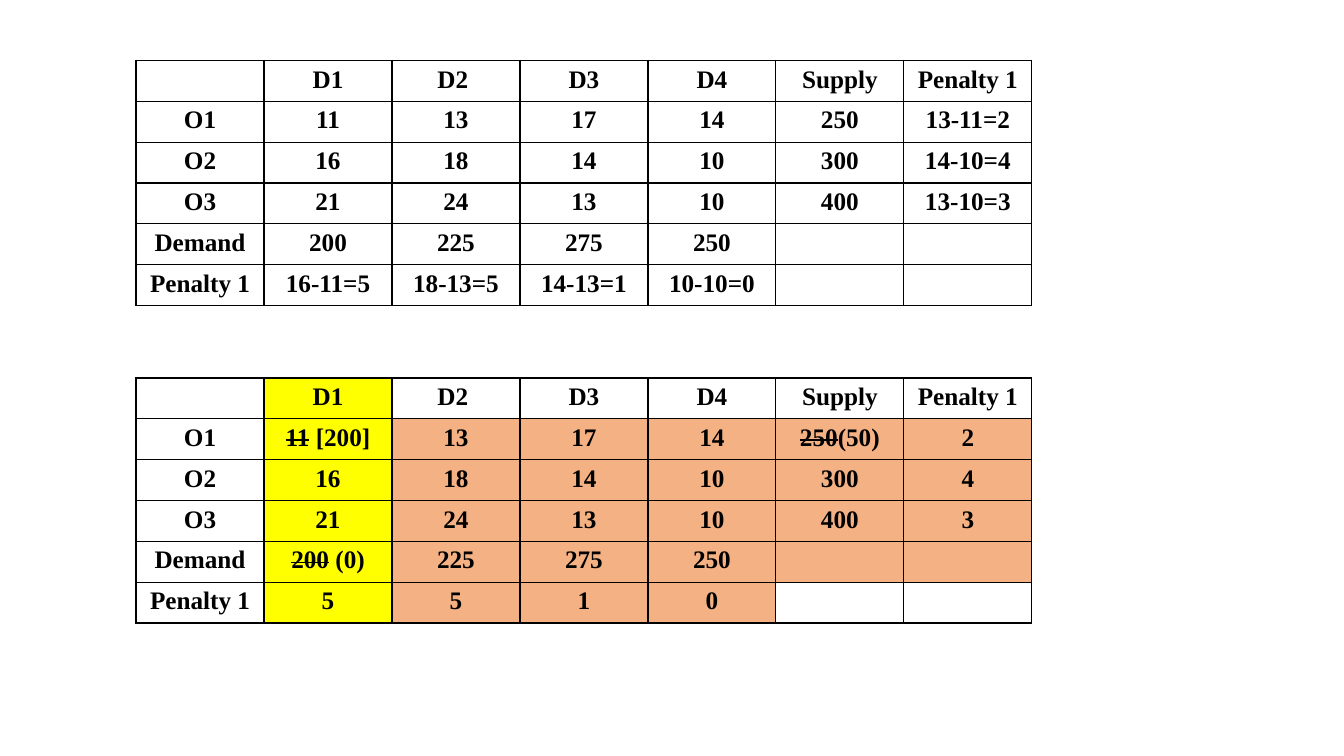
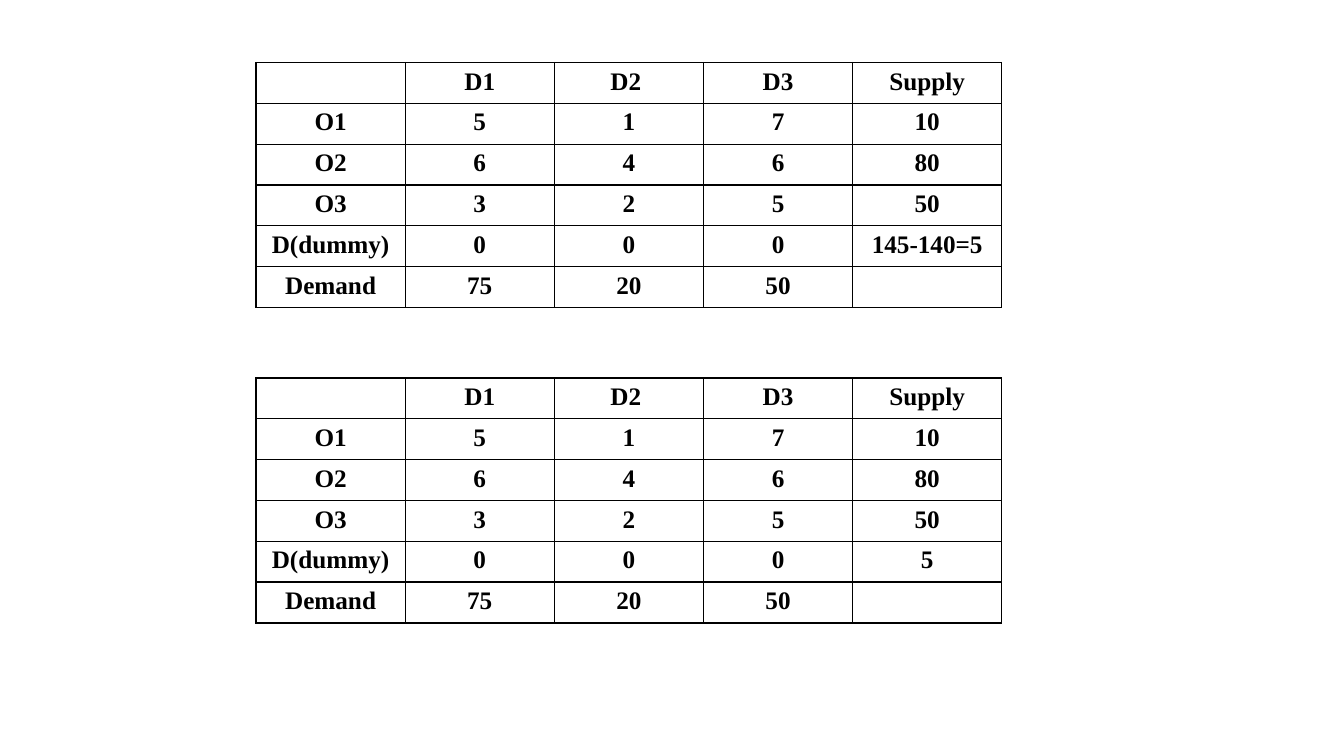
from lxml import etree
from pptx import Presentation
from pptx.dml.color import RGBColor
from pptx.enum.text import PP_ALIGN
from pptx.oxml.ns import qn
from pptx.util import Pt

PX = 4572
CENTER = PP_ALIGN.CENTER
FONT = "Times New Roman"
BLACK, YELLOW, ORANGE = "000000", "FFFF00", "F4B183"
BLANK = 6
ROW = 81
LOW = 750
STRIKE = "~"

COSTS = [
    "|D1|D2 |D3|D4|Supply|Penalty 1",
    "O1|11|13|17|14|250|13-11=2",
    "O2|16|18|14|10|300|14-10=4",
    "O3|21|24|13|10|400|13-10=3",
    "Demand|200|225|275|250||",
    "Penalty 1|16-11=5|18-13=5|14-13=1|10-10=0||",
]
FIRST = [
    "|D1|D2 |D3|D4|Supply|Penalty 1",
    "O1|~11~ [200]|13|17|14|~250~(50)|2",
    "O2|16|18|14|10|300|4",
    "O3|21|24|13|10|400|3",
    "Demand|~200~ (0)|225|275|250||",
    "Penalty 1|5|5|1|0||",
]


def color(code):
    return RGBColor.from_string(code)


def dummy(supply):
    return [
        "|D1|D2 |D3|Supply",
        "O1|5|1|7|10",
        "O2|6|4|6|80",
        "O3|3|2|5|50",
        f"D(dummy)|0|0|0|{supply}",
        "Demand|75|20|50|",
    ]


def plain(row, col):
    return None


def shade(row, col):
    if col == 1:
        return YELLOW
    if row == 0 or col == 0 or (row == 5 and col > 4):
        return None
    return ORANGE


def border(cell):
    props = cell._tc.get_or_add_tcPr()
    for side in ("a:lnL", "a:lnR", "a:lnT", "a:lnB"):
        line = etree.SubElement(props, qn(side), w=str(Pt(1)))
        fill = etree.SubElement(line, qn("a:solidFill"))
        etree.SubElement(fill, qn("a:srgbClr"), val=BLACK)


def write(cell, text):
    para = cell.text_frame.paragraphs[0]
    para.alignment = CENTER
    for index, part in enumerate(text.split(STRIKE)):
        if not part:
            continue
        run = para.add_run()
        run.text = part
        run.font.name = FONT
        run.font.size = Pt(18)
        run.font.bold = True
        run.font.color.rgb = color(BLACK)
        if index % 2:
            run._r.get_or_add_rPr().set("strike", "sngStrike")


def paint(cell, code):
    if code:
        cell.fill.solid()
        cell.fill.fore_color.rgb = color(code)
    else:
        cell.fill.background()


def grid(slide, left, top, width, lines, tint=plain):
    rows = [line.split("|") for line in lines]
    count = len(rows[0])
    frame = slide.shapes.add_table(
        len(rows), count, left * PX, top * PX,
        width * count * PX, ROW * len(rows) * PX)
    table = frame.table
    table.first_row = False
    table.horz_banding = False
    for col in table.columns:
        col.width = width * PX
    for r, texts in enumerate(rows):
        table.rows[r].height = ROW * PX
        for c, text in enumerate(texts):
            cell = table.cell(r, c)
            border(cell)
            paint(cell, tint(r, c))
            write(cell, text)


def main():
    deck = Presentation()
    deck.slide_width = 2667 * PX
    deck.slide_height = 1500 * PX
    layout = deck.slide_layouts[BLANK]

    slide = deck.slides.add_slide(layout)
    grid(slide, 270, 120, 254, COSTS)
    grid(slide, 270, LOW, 254, FIRST, shade)

    slide = deck.slides.add_slide(layout)
    grid(slide, 508, 124, 296, dummy("145-140=5"))
    grid(slide, 508, LOW, 296, dummy("5"))

    deck.save("out.pptx")


if __name__ == "__main__":
    main()
